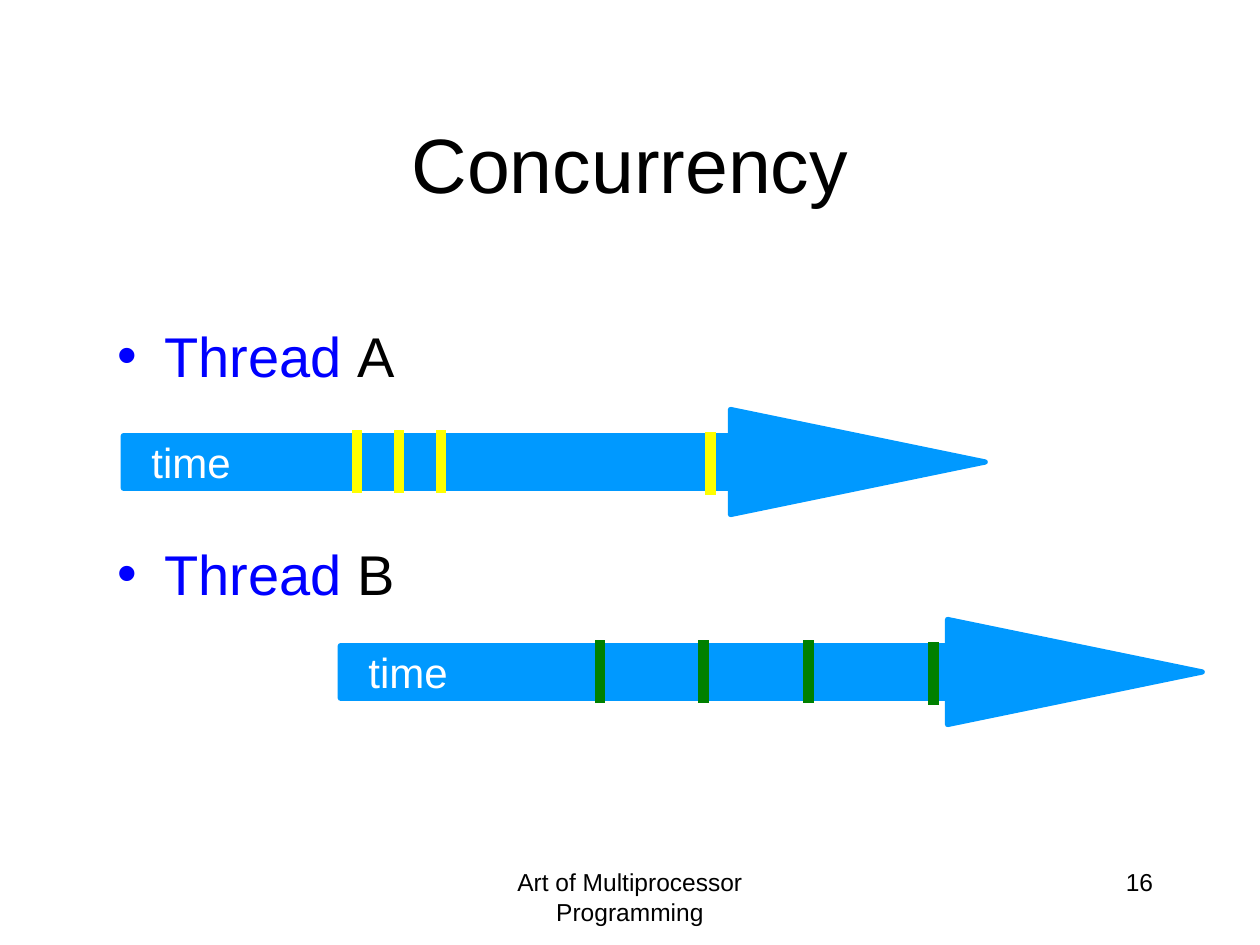
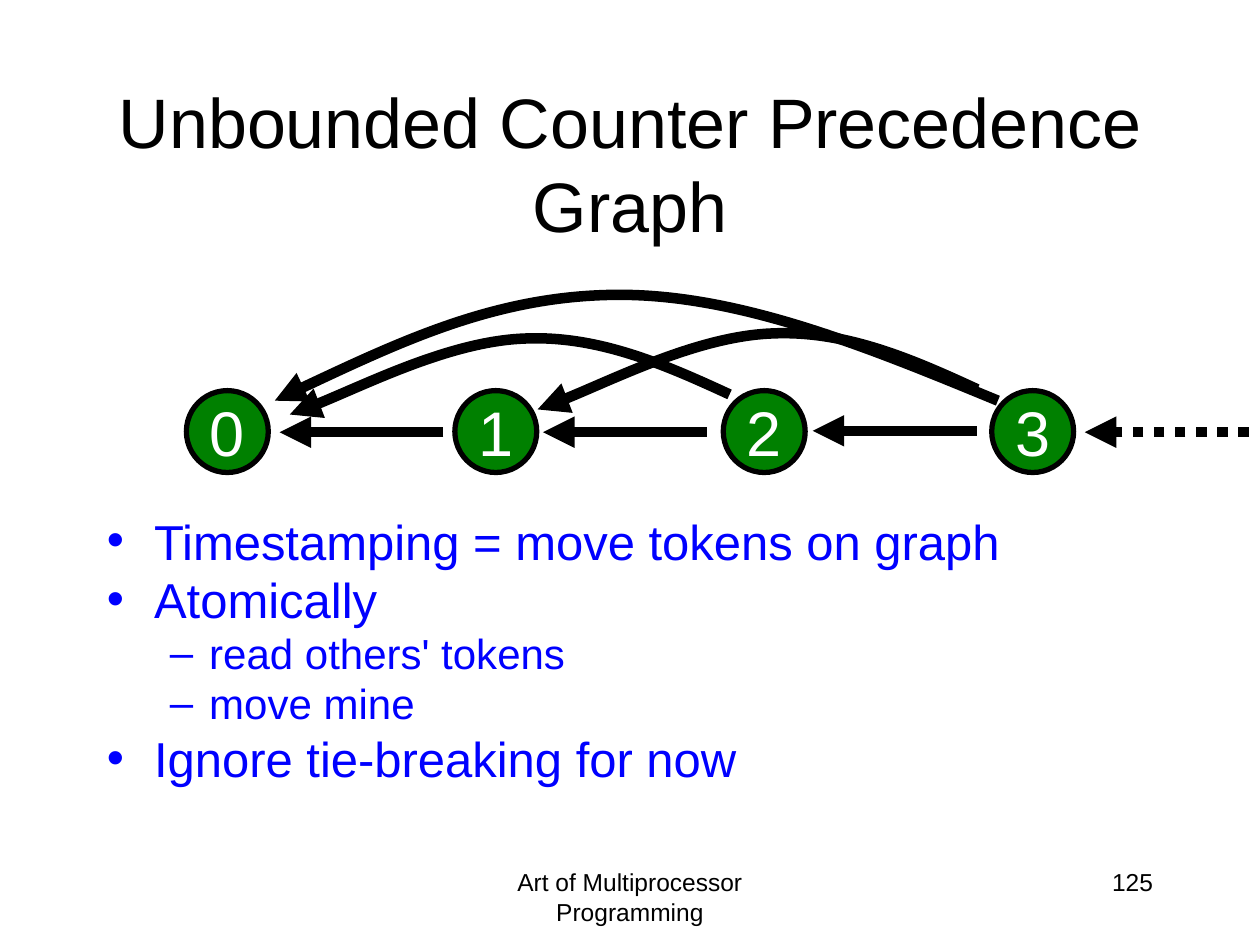
"""Builds two slides on concurrent threads and the precedence graph of an unbounded counter."""
from lxml.etree import SubElement
from pptx import Presentation
from pptx.dml.color import RGBColor
from pptx.enum.dml import MSO_LINE_DASH_STYLE as DASH
from pptx.enum.shapes import MSO_CONNECTOR, MSO_SHAPE
from pptx.enum.text import MSO_ANCHOR as ANCHOR, PP_ALIGN as ALIGN
from pptx.oxml.ns import qn
from pptx.util import Pt

COLORS = {k: RGBColor.from_string(v) for k, v in {
    "black": "000000", "white": "FFFFFF", "blue": "0000FF",
    "sky": "0099FF", "yellow": "FFFF00", "green": "008000"}.items()}
FONT = "Arial"
LEVELS = [("•", 27, -27), ("–", 58.5, -22.5)]


def add_runs(p, size, *runs):
    for text, color in runs:
        r = p.add_run()
        r.text = text
        r.font.name, r.font.size = FONT, Pt(size)
        r.font.color.rgb = COLORS[color]


def style_line(sp, color, arrow=True, dash=None):
    sp.line.color.rgb = COLORS[color]
    sp.line.width = Pt(6)
    if dash:
        sp.line.dash_style = dash
    sp_pr = sp._element.spPr
    if arrow:
        SubElement(sp_pr.find(qn("a:ln")), qn("a:tailEnd"), type="triangle")
    SubElement(sp_pr, qn("a:effectLst"))


prs = Presentation()
prs.slide_width, prs.slide_height = Pt(720), Pt(540)

slides = []
for title, title_size, number in [("Concurrency", 44, "16"),
                                  ("Unbounded Counter Precedence Graph", 40, "125")]:
    s = prs.slides.add_slide(prs.slide_layouts[6])
    slides.append(s)
    for text, size, box, align, anchor in [
            ("Art of Multiprocessor Programming", 14, (246, 492, 228, 36), ALIGN.CENTER, ANCHOR.TOP),
            (number, 14, (516, 492, 150, 36), ALIGN.RIGHT, ANCHOR.TOP),
            (title, title_size, (54, 48, 612, 90), ALIGN.CENTER, ANCHOR.MIDDLE)]:
        tf = s.shapes.add_textbox(*map(Pt, box)).text_frame
        tf.word_wrap, tf.vertical_anchor = True, anchor
        tf.paragraphs[0].alignment = align
        add_runs(tf.paragraphs[0], size, (text, "black"))
threads, graph = slides

timelines = [(194.5, 354, "green", (343, 402, 462, 533.5)),
             (70.5, 234, "yellow", (204, 228, 252, 406))]
for left, top, _, _ in timelines:
    sp = threads.shapes.add_shape(MSO_SHAPE.RIGHT_ARROW, Pt(left), Pt(top), Pt(492.5), Pt(60))
    sp.adjustments[0], sp.adjustments[1] = 0.5, 2.425
    sp.shadow.inherit = False
    sp.fill.solid()
    sp.fill.fore_color.rgb = sp.line.color.rgb = COLORS["sky"]
    sp.line.width = Pt(3)
    tf = threads.shapes.add_textbox(Pt(left + 8), Pt(top + 12), Pt(60.5), Pt(36.7)).text_frame
    tf.word_wrap = False
    tf.paragraphs[0].alignment = ALIGN.RIGHT
    add_runs(tf.paragraphs[0], 24, ("time", "white"))

for _, top, color, ticks in timelines:
    for x, drop in zip(ticks, (0, 0, 0, 1)):
        y = top + 12 + drop
        tick = threads.shapes.add_connector(MSO_CONNECTOR.STRAIGHT, Pt(x), Pt(y), Pt(x), Pt(y + 36))
        style_line(tick, color, arrow=False)

for i in range(4):
    sp = graph.shapes.add_shape(MSO_SHAPE.OVAL, Pt(106.5 + 153.4 * i), Pt(223.2), Pt(46.8), Pt(46.8))
    sp.shadow.inherit = False
    sp.fill.solid()
    sp.fill.fore_color.rgb = COLORS["green"]
    sp.line.color.rgb = COLORS["black"]
    sp.line.width = Pt(3)
    tf = sp.text_frame
    tf.word_wrap, tf.vertical_anchor = False, ANCHOR.MIDDLE
    tf.paragraphs[0].alignment = ALIGN.CENTER
    add_runs(tf.paragraphs[0], 36, (str(i), "white"))

for head_x, y, dash in [(159.8, 247, None), (310.3, 247, None),
                        (464.4, 246.2, None), (619.9, 247, DASH.ROUND_DOT)]:
    edge = graph.shapes.add_connector(MSO_CONNECTOR.STRAIGHT, Pt(head_x + 93.6), Pt(y), Pt(head_x), Pt(y))
    style_line(edge, "black", dash=dash)

short_arc = [(416.9, 225.4), (379.4, 208.1), (341.3, 191.5), (299.5, 193.5),
             (257.8, 195.1), (187.9, 229.7), (165.6, 236.9)]
long_arc = [(570.2, 229), (496.8, 198.7), (423.4, 168.5), (354.2, 168.5),
            (285.1, 168.5), (221, 198.7), (157, 229)]
for arc in long_arc, short_arc, [(x + 141.6, y - 2.9) for x, y in short_arc]:
    start, *controls = [(Pt(x), Pt(y)) for x, y in arc]
    builder = graph.shapes.build_freeform(*start)
    builder.add_line_segments(controls, close=False)
    sp = builder.convert_to_shape()
    sp.fill.background()
    style_line(sp, "black")
    outline = next(sp._element.iter(qn("a:pathLst")))[0]
    segments = outline.findall(qn("a:lnTo"))
    for i in range(0, len(segments), 3):
        curve = SubElement(outline, qn("a:cubicBezTo"))
        for segment in segments[i:i + 3]:
            curve.append(segment[0])
            outline.remove(segment)

thread_items = [(0, 32, 3.6, [("Thread ", "blue"), ("A", "black")]),
                (0, 32, 86.6, [("Thread ", "blue"), ("B", "black")])]
graph_items = [(level, size, before, [(text, "blue")]) for level, size, before, text in [
    (0, 28, 3.6, "Timestamping = move tokens on graph"),
    (0, 28, 6.6, "Atomically"),
    (1, 24, 5.5, "read others' tokens"),
    (1, 24, 5.5, "move mine"),
    (0, 28, 6.6, "Ignore tie-breaking for now")]]
for s, box, spacing, items in [(threads, (60, 180, 612, 258), 1.0, thread_items),
                               (graph, (54, 295, 612, 166), 0.8, graph_items)]:
    tf = s.shapes.add_textbox(*map(Pt, box)).text_frame
    tf.word_wrap = True
    for i, (level, size, before, runs) in enumerate(items):
        p = tf.add_paragraph() if i else tf.paragraphs[0]
        p.level, p.line_spacing, p.space_before = level, spacing, Pt(before)
        bullet, margin, indent = LEVELS[level]
        p_pr = p._p.get_or_add_pPr()
        p_pr.set("marL", str(Pt(margin)))
        p_pr.set("indent", str(Pt(indent)))
        SubElement(p_pr, qn("a:buFont"), typeface=FONT)
        SubElement(p_pr, qn("a:buChar"), char=bullet)
        add_runs(p, size, *runs)

prs.save("out.pptx")
